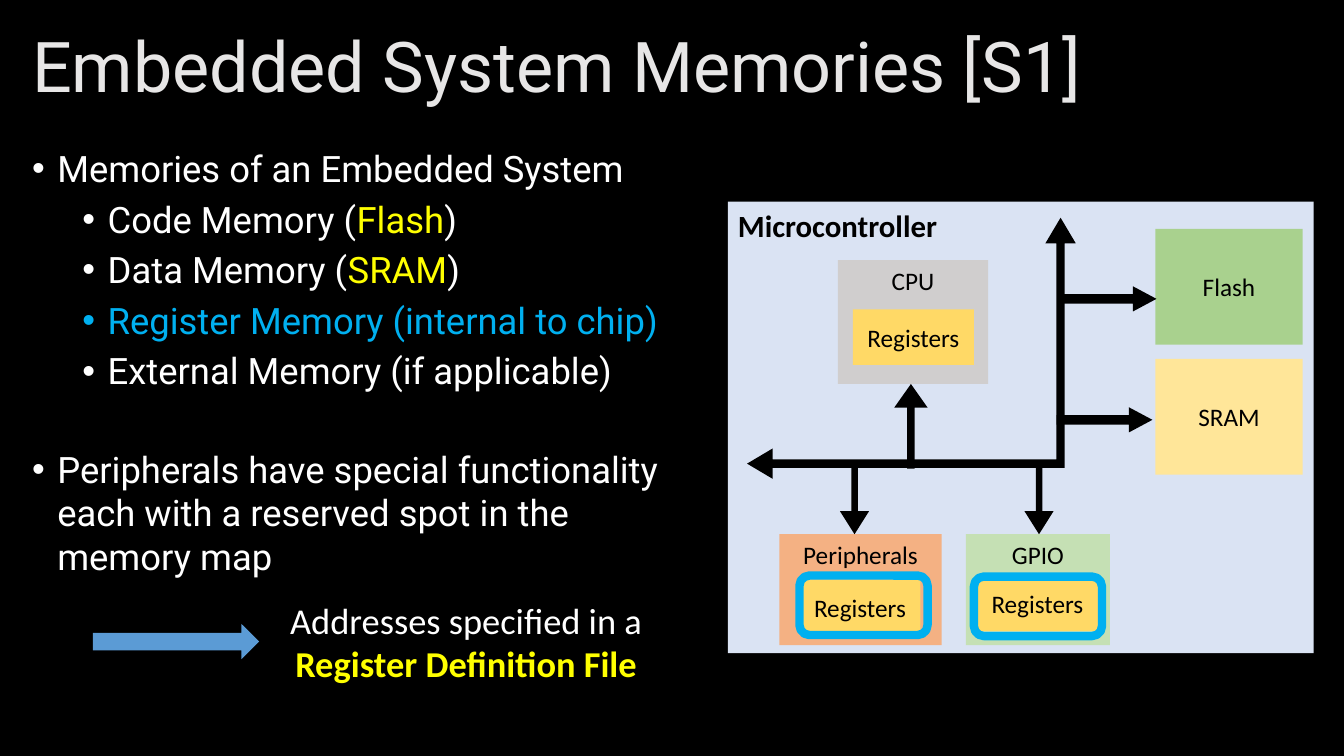
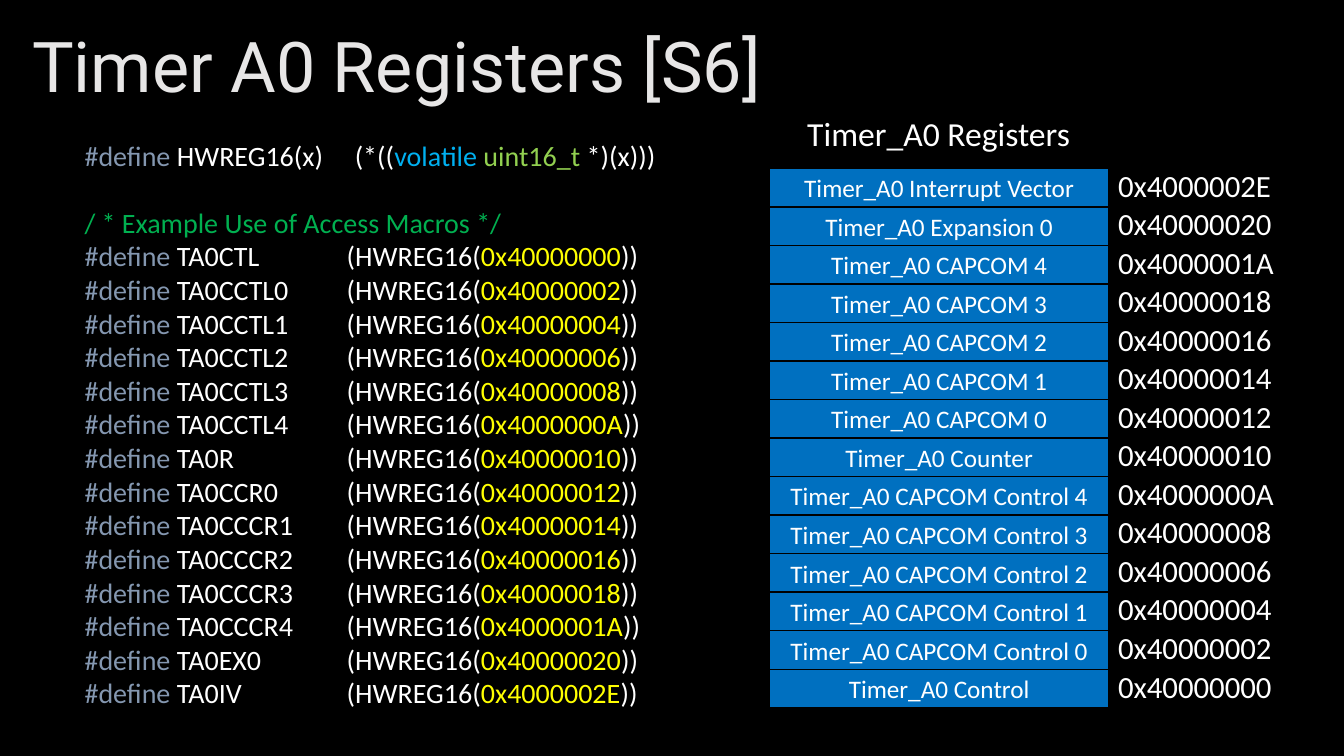
"""Build two slides on embedded system memories and the Timer A0 registers."""
from lxml import etree
from pptx import Presentation
from pptx.dml.color import RGBColor
from pptx.enum.shapes import MSO_SHAPE
from pptx.enum.text import MSO_ANCHOR, PP_ALIGN
from pptx.oxml.ns import qn
from pptx.util import Inches, Pt

RECT, ROUNDED = MSO_SHAPE.RECTANGLE, MSO_SHAPE.ROUNDED_RECTANGLE
UP_ARROW, RIGHT_ARROW = MSO_SHAPE.UP_ARROW, MSO_SHAPE.RIGHT_ARROW
LEFT_UP_ARROW = MSO_SHAPE.LEFT_UP_ARROW
TOP, MIDDLE = MSO_ANCHOR.TOP, MSO_ANCHOR.MIDDLE
LEFT, CENTER = PP_ALIGN.LEFT, PP_ALIGN.CENTER

COLORS = {
    "black": "000000", "white": "FFFFFF", "title": "E7E6E6",
    "yellow": "FFFF00", "sky": "00B0F0", "directive": "8497B0",
    "type": "92D050", "comment": "00B050", "row": "0070C0",
    "chip": "DAE3F3", "cpu": "D0CECE", "gpio": "C5E0B4",
    "flash": "A9D18E", "sram": "FFE699", "peripherals": "F4B183",
    "registers": "FFD966", "pointer": "5B9BD5",
}


def write(frame, lines, size, font="Calibri", align=LEFT, anchor=TOP):
    """Fill a text frame with lines of (text, color, bold) pieces."""
    frame.word_wrap = True
    frame.vertical_anchor = anchor
    for number, pieces in enumerate(lines):
        paragraph = frame.add_paragraph() if number else frame.paragraphs[0]
        paragraph.alignment = align
        for text, color, *bold in pieces:
            run = paragraph.add_run()
            run.text = text
            run.font.name = font
            run.font.size = Pt(size)
            run.font.bold = bool(bold)
            run.font.color.rgb = RGBColor.from_string(COLORS[color])
    return frame.paragraphs


def draw(slide, kind, box, fill=None, line=None, line_width=1, adjust=(), turn=0):
    """Add a preset shape with an optional fill and outline."""
    shape = slide.shapes.add_shape(kind, *map(Inches, box))
    shape.shadow.inherit = False
    shape.rotation = turn
    for index, value in enumerate(adjust):
        shape.adjustments[index] = value
    if fill:
        shape.fill.solid()
        shape.fill.fore_color.rgb = RGBColor.from_string(COLORS[fill])
    else:
        shape.fill.background()
    if line:
        shape.line.color.rgb = RGBColor.from_string(COLORS[line])
        shape.line.width = Pt(line_width)
    else:
        shape.line.fill.background()
    return shape


prs = Presentation()
prs.slide_width, prs.slide_height = Inches(13.33), Inches(7.5)
backdrop = prs.slide_master.background.fill
backdrop.solid()
backdrop.fore_color.rgb = RGBColor.from_string(COLORS["black"])

slides = []
for heading in ("Embedded System Memories [S1]", "Timer A0 Registers [S6]"):
    slide = prs.slides.add_slide(prs.slide_layouts[6])
    title = slide.shapes.add_textbox(Inches(0.22), Inches(0.21), Inches(12.89), Inches(0.97))
    write(title.text_frame, [[(heading, "title")]], 50, "Roboto", anchor=MIDDLE)[0].line_spacing = 0.9
    slides.append(slide)
memories, timer = slides

bullets = [
    (0.25, 10, [("Memories of an Embedded System", "white")]),
    (0.75, 5, [("Code Memory (", "white"), ("Flash", "yellow"), (")", "white")]),
    (0.75, 5, [("Data Memory (", "white"), ("SRAM", "yellow"), (")", "white")]),
    (0.75, 5, [("Register Memory (internal to chip)", "sky")]),
    (0.75, 5, [("External Memory (if applicable)", "white")]),
    (0.25, 39, [("Peripherals have special functionality each with a reserved "
                 "spot in the memory map", "white")]),
]
body = memories.shapes.add_textbox(Inches(0.22), Inches(1.4), Inches(6.77), Inches(4.43))
paragraphs = write(body.text_frame, [pieces for _, _, pieces in bullets], 26, "Roboto")
for paragraph, (indent, gap, _) in zip(paragraphs, bullets):
    paragraph.space_before = Pt(gap)
    properties = paragraph._p.get_or_add_pPr()
    properties.set("marL", str(Inches(indent)))
    properties.set("indent", str(Inches(-0.25)))
    etree.SubElement(properties, qn("a:buFont")).set("typeface", "Arial")
    etree.SubElement(properties, qn("a:buChar")).set("char", "•")

chip = draw(memories, RECT, (7.22, 2, 5.81, 4.48), "chip")
write(chip.text_frame, [[("Microcontroller", "black", True)]], 22)

units = [
    ("CPU", (8.31, 2.58, 1.49, 1.23), "cpu", TOP),
    ("Flash", (11.46, 2.27, 1.46, 1.15), "flash", MIDDLE),
    ("SRAM", (11.46, 3.56, 1.46, 1.15), "sram", MIDDLE),
    ("Peripherals", (7.73, 5.3, 1.61, 1.1), "peripherals", TOP),
    ("GPIO", (9.58, 5.3, 1.43, 1.1), "gpio", TOP),
]
for left, top in ((8.46, 3.07), (7.93, 5.75), (9.69, 5.71)):
    units.append(("Registers", (left, top, 1.2, 0.55), "registers", MIDDLE))
for label, box, fill, anchor in units:
    unit = draw(memories, RECT, box, fill)
    write(unit.text_frame, [[(label, "black")]], 18, align=CENTER, anchor=anchor)

draw(memories, LEFT_UP_ARROW, (7.41, 2.16, 3.26, 2.59), "black", adjust=(0.032, 0.058, 0.098))
draw(memories, UP_ARROW, (8.87, 3.81, 0.33, 0.84), "black", adjust=(0.222, 0.708))
for left in (8.33, 10.16):
    draw(memories, UP_ARROW, (left, 4.63, 0.29, 0.67), "black", adjust=(0.222, 0.795), turn=180)
for left, top in ((10.87, 2.49), (10.83, 3.69)):
    draw(memories, UP_ARROW, (left, top, 0.25, 0.95), "black", adjust=(0.382, 0.936), turn=90)
for left, top in ((7.93, 5.71), (9.66, 5.72)):
    draw(memories, ROUNDED, (left, top, 1.27, 0.59), line="sky", line_width=6)

draw(memories, RIGHT_ARROW, (0.92, 6.19, 1.65, 0.35), "pointer")
remark = memories.shapes.add_textbox(Inches(2.57), Inches(5.88), Inches(4.11), Inches(0.98))
write(remark.text_frame, [[("Addresses specified in a ", "white"),
                           ("Register Definition File", "yellow", True)]], 26, align=CENTER)

registers = [
    ("TA0CTL", "0x40000000", "Control"),
    ("TA0CCTL0", "0x40000002", "CAPCOM Control 0"),
    ("TA0CCTL1", "0x40000004", "CAPCOM Control 1"),
    ("TA0CCTL2", "0x40000006", "CAPCOM Control 2"),
    ("TA0CCTL3", "0x40000008", "CAPCOM Control 3"),
    ("TA0CCTL4", "0x4000000A", "CAPCOM Control 4"),
    ("TA0R", "0x40000010", "Counter"),
    ("TA0CCR0", "0x40000012", "CAPCOM 0"),
    ("TA0CCCR1", "0x40000014", "CAPCOM 1"),
    ("TA0CCCR2", "0x40000016", "CAPCOM 2"),
    ("TA0CCCR3", "0x40000018", "CAPCOM 3"),
    ("TA0CCCR4", "0x4000001A", "CAPCOM 4"),
    ("TA0EX0", "0x40000020", "Expansion 0"),
    ("TA0IV", "0x4000002E", "Interrupt Vector"),
]

map_title = timer.shapes.add_textbox(Inches(7.61), Inches(1.07), Inches(3.4), Inches(0.5))
write(map_title.text_frame, [[("Timer_A0 Registers", "white")]], 24, align=CENTER)
FIRST_TOP, LAST_TOP = 1.67, 6.64
pitch = (LAST_TOP - FIRST_TOP) / (len(registers) - 1)
for index, (_, address, name) in enumerate(reversed(registers)):
    top = FIRST_TOP + index * pitch
    row = draw(timer, RECT, (7.63, top, 3.37, pitch), "row", "black")
    write(row.text_frame, [[(f"Timer_A0 {name}", "white")]], 18, align=CENTER, anchor=MIDDLE)
    location = timer.shapes.add_textbox(Inches(10.99), Inches(top - 0.07), Inches(1.75), Inches(0.48))
    write(location.text_frame, [[(address, "white")]], 22)

code = [
    [("#define", "directive"), (" HWREG16(x)\t(*((", "white"), ("volatile ", "sky"),
     ("uint16_t", "type"), (" *)(x)))", "white")],
    [("/ * Example Use of Access Macros */", "comment")],
]
for macro, address, _ in registers:
    code.append([("#define", "directive"), (f" {macro}\t(HWREG16(", "white"),
                 (address, "yellow"), ("))", "white")])
listing = timer.shapes.add_textbox(Inches(0.74), Inches(1.32), Inches(7.08), Inches(5.89))
paragraphs = write(listing.text_frame, code, 20)
paragraphs[1].space_before = Pt(24)
for index, paragraph in enumerate(paragraphs):
    stops = etree.SubElement(paragraph._p.get_or_add_pPr(), qn("a:tabLst"))
    stop = etree.SubElement(stops, qn("a:tab"))
    stop.set("pos", str(Inches(2.6 if index else 2.68)))
    stop.set("algn", "l")

prs.save("out.pptx")
